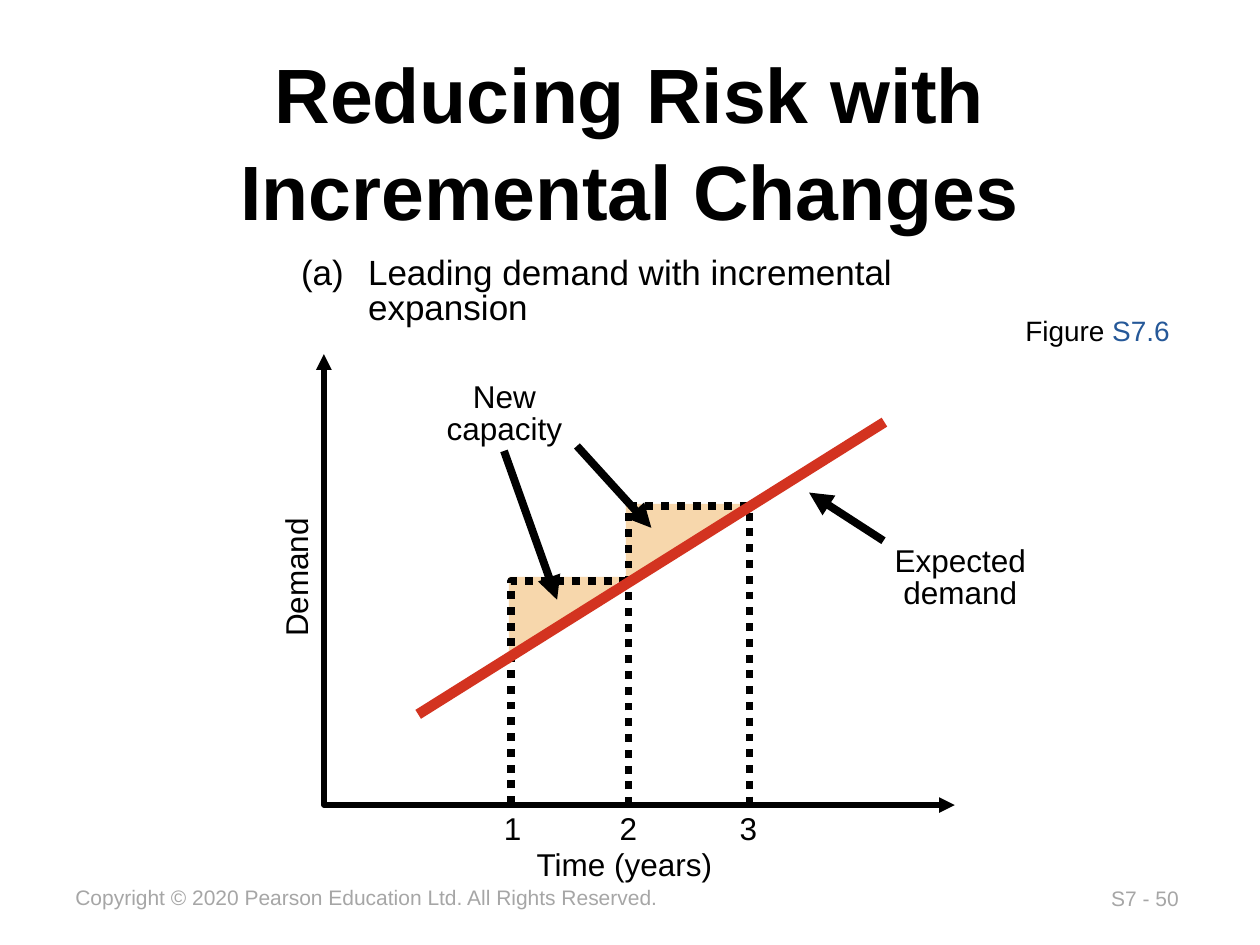
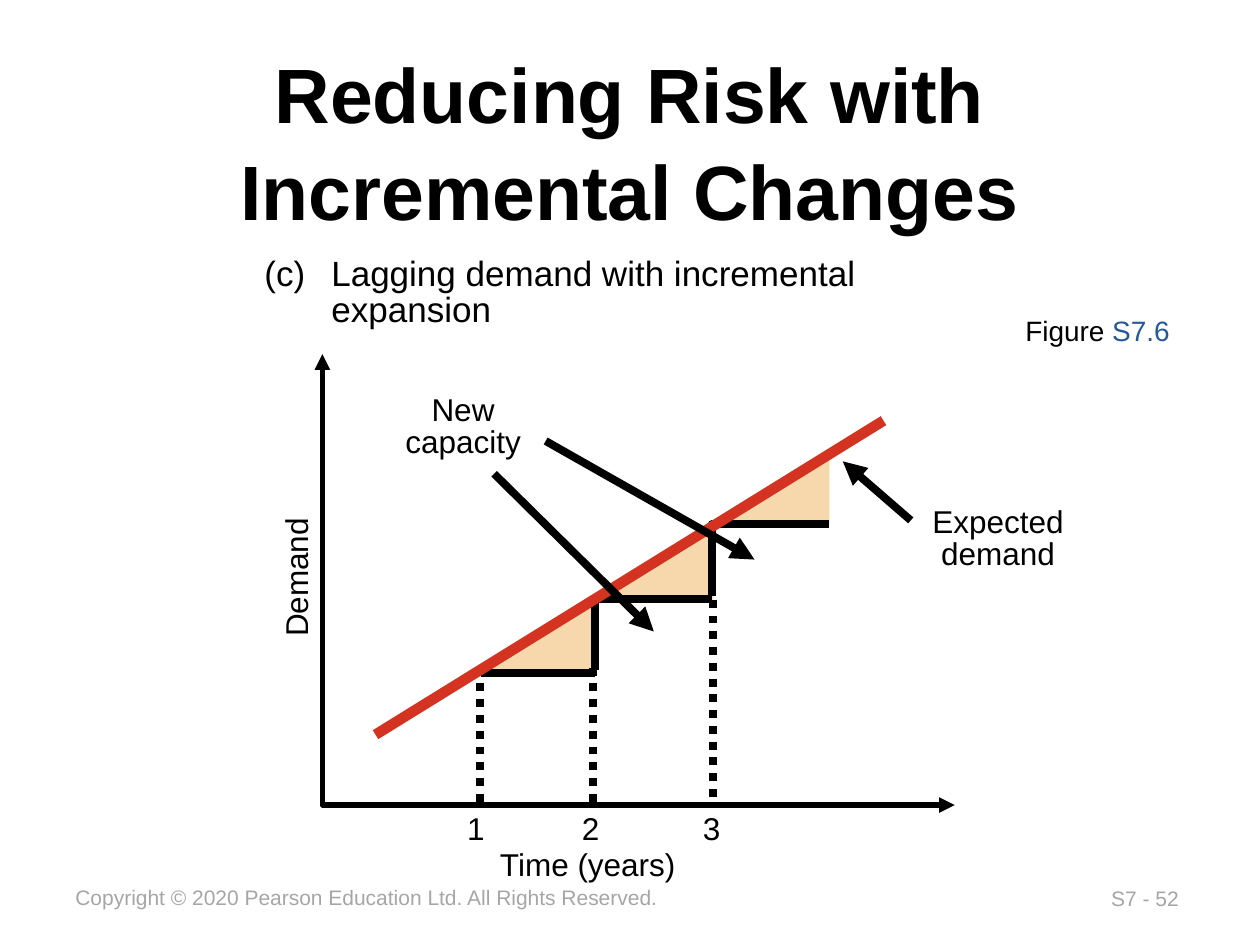
from collections import namedtuple
from dataclasses import dataclass

from lxml.etree import SubElement
from pptx import Presentation
from pptx.dml.color import RGBColor
from pptx.enum.dml import MSO_LINE as Dash
from pptx.enum.shapes import MSO_CONNECTOR as Link
from pptx.enum.text import MSO_ANCHOR as Anchor, MSO_AUTO_SIZE as Fit, PP_ALIGN as Align
from pptx.oxml.ns import qn
from pptx.util import Cm, Pt


@dataclass(frozen=True)
class Theme:
    font: str = "Arial"
    ink: str = "000000"
    muted: str = "A6A6A6"
    reference: str = "255898"
    demand: str = "D33320"
    capacity: str = "F7D7AC"
    title_size: int = 44
    caption_size: int = 20
    label_size: int = 18
    figure_size: int = 16
    footer_size: int = 12
    axis_width: float = 3
    step_width: float = 4.5
    demand_width: float = 6
    tight: float = 0.85


THEME = Theme()
TITLE = "Reducing Risk with Incremental Changes"
COPYRIGHT = "Copyright © 2020 Pearson Education Ltd. All Rights Reserved."
AXIS_TOP, AXIS_BASE, AXIS_END = 7.14, 16.23, 19.25

# Boxes are (left, top, width, height); points are (x, y); all in centimetres.
Callout = namedtuple("Callout", "text box arrows")
Scenario = namedtuple(
    "Scenario",
    "page caption caption_box axis_x year_lefts time_left "
    "surpluses dotted solid demand callouts",
)


def lagging_surplus(x, y):
    """Capacity triangle whose lower left corner is (x, y)."""
    return [(x, y), (x + 2.24, y - 1.42), (x + 2.24, y)]


LEADING = Scenario(
    page="S7 - 50",
    caption="(a)\tLeading demand with incremental expansion",
    caption_box=(5.82, 5.05, 13.79, 1.73),
    axis_x=6.53,
    year_lefts=(9.91, 12.24, 14.66),
    time_left=10.57,
    surpluses=[
        [(12.62, 11.89), (12.62, 10.16), (15.11, 10.16)],
        [(10.26, 13.39), (10.26, 11.63), (12.6, 11.63)],
    ],
    dotted=[
        [(10.31, 16.21), (10.31, 11.71), (12.62, 11.71)],
        [(12.67, 16.23), (12.67, 10.21), (15.11, 10.21), (15.11, 16.21)],
    ],
    solid=[],
    demand=((8.43, 14.4), (17.83, 8.51)),
    callouts=[
        Callout("Expected demand", (17.48, 10.9, 3.76, 1.57),
                [((17.81, 10.9), (16.31, 9.93))]),
        Callout("New capacity", (8.48, 7.59, 3.38, 1.57),
                [((10.16, 9.09), (11.23, 12.09)), ((11.63, 8.99), (13.13, 10.64))]),
    ],
)

LAGGING = Scenario(
    page="S7 - 52",
    caption="(c)\tLagging demand with incremental expansion",
    caption_box=(5.08, 5.08, 15.24, 1.73),
    axis_x=6.5,
    year_lefts=(9.17, 11.48, 13.92),
    time_left=9.83,
    surpluses=[lagging_surplus(12.14, 12.09), lagging_surplus(9.78, 13.51),
               lagging_surplus(14.48, 10.57)],
    dotted=[
        [(9.68, 13.46), (9.68, 16.23)],
        [(11.96, 13.46), (11.96, 16.21)],
        [(14.38, 12.09), (14.38, 16.15)],
    ],
    solid=[
        [(11.99, 13.51), (11.99, 12.07), (14.35, 12.07)],
        [(14.35, 12.01), (14.35, 10.57), (16.71, 10.57)],
        [(9.7, 13.56), (11.99, 13.56)],
    ],
    demand=((7.57, 14.81), (17.81, 8.48)),
    callouts=[
        Callout("Expected demand", (18.19, 10.11, 3.86, 1.57),
                [((18.36, 10.49), (16.99, 9.3))]),
        Callout("New capacity", (7.47, 7.85, 3.73, 1.57),
                [((11, 8.89), (15.21, 11.28)), ((9.96, 9.55), (13.18, 12.73))]),
    ],
)


def add_run(paragraph, text, size, color=THEME.ink, bold=False):
    run = paragraph.add_run()
    run.text = text
    run.font.name = THEME.font
    run.font.size = Pt(size)
    run.font.bold = bold
    run.font.color.rgb = RGBColor.from_string(color)


def add_label(slide, box, text, size=THEME.label_size, color=THEME.ink,
              wrap=False, align=Align.LEFT, rotation=0):
    """Add a text box and return its paragraph; wrapped text is set tight."""
    label = slide.shapes.add_textbox(*map(Cm, box))
    label.rotation = rotation
    frame = label.text_frame
    frame.word_wrap = wrap
    frame.auto_size = Fit.SHAPE_TO_FIT_TEXT
    paragraph = frame.paragraphs[0]
    paragraph.alignment = align
    if wrap:
        paragraph.line_spacing = THEME.tight
    add_run(paragraph, text, size, color)
    return paragraph


def style_line(line, color, width, dash=None, ends=()):
    """Format a line; ends names its arrowheads, headEnd before tailEnd."""
    line.color.rgb = RGBColor.from_string(color)
    line.width = Pt(width)
    if dash:
        line.dash_style = dash
    for end in ends:
        SubElement(line._get_or_add_ln(), qn(f"a:{end}"), type="triangle")


def add_outline(slide, points, closed=False):
    start, *rest = [(Cm(x), Cm(y)) for x, y in points]
    builder = slide.shapes.build_freeform(*start, scale=1.0)
    builder.add_line_segments(rest, close=closed)
    outline = builder.convert_to_shape()
    outline.shadow.inherit = False
    return outline


def add_surplus(slide, corners):
    surplus = add_outline(slide, corners, closed=True)
    surplus.fill.solid()
    surplus.fill.fore_color.rgb = RGBColor.from_string(THEME.capacity)
    surplus.line.fill.background()


def add_straight(slide, start, end, color, width, dash=None, ends=()):
    link = slide.shapes.add_connector(Link.STRAIGHT, *map(Cm, (*start, *end)))
    SubElement(link._element.spPr, qn("a:effectLst"))
    style_line(link.line, color, width, dash, ends)


def add_path(slide, points, width, dash=None, ends=()):
    """Draw an open black path: a connector for two points, else a freeform."""
    if len(points) == 2:
        add_straight(slide, *points, THEME.ink, width, dash, ends)
        return
    path = add_outline(slide, points)
    path.fill.background()
    style_line(path.line, THEME.ink, width, dash, ends)


def add_title(slide):
    title = slide.shapes.title
    title.left, title.top, title.width, title.height = map(Cm, (1.9, 0.71, 21.6, 4.19))
    title.text_frame.vertical_anchor = Anchor.MIDDLE
    paragraph = title.text_frame.paragraphs[0]
    paragraph.alignment = Align.CENTER
    paragraph.line_spacing = 1.05
    add_run(paragraph, TITLE, THEME.title_size, bold=True)


def add_footer(slide, page):
    for text, box in ((page, (22.15, 17.73, 1.93, 0.76)),
                      (COPYRIGHT, (1.27, 17.7, 12.34, 0.76))):
        add_label(slide, box, text, THEME.footer_size, THEME.muted)


def add_caption(slide, text, box):
    caption = add_label(slide, box, text, THEME.caption_size, wrap=True)
    properties = caption._p.get_or_add_pPr()
    properties.set("marL", str(Cm(1.35)))
    properties.set("indent", str(-Cm(1.35)))


def add_figure_reference(slide):
    figure = add_label(slide, (20.42, 6.2, 3.56, 0.94), "Figure ", THEME.figure_size)
    add_run(figure, "S7.6", THEME.figure_size, THEME.reference)


def add_axes(slide, scenario):
    corner_x = scenario.axis_x
    add_path(slide, [(corner_x, AXIS_TOP), (corner_x, AXIS_BASE), (AXIS_END, AXIS_BASE)],
             THEME.axis_width, ends=("headEnd", "tailEnd"))
    add_label(slide, (4.45, 11.07, 3.02, 1.02), "Demand", rotation=270)
    add_label(slide, (scenario.time_left, 16.92, 4.09, 1.02), "Time (years)")
    for year, left in enumerate(scenario.year_lefts, start=1):
        add_label(slide, (left, 16.18, 0.86, 1.02), str(year))


def add_callout(slide, callout):
    add_label(slide, callout.box, callout.text, wrap=True, align=Align.CENTER)
    for start, tip in callout.arrows:
        add_straight(slide, start, tip, THEME.ink, THEME.step_width, ends=("tailEnd",))


def add_scenario_slide(deck, scenario):
    slide = deck.slides.add_slide(deck.slide_layouts[5])
    add_title(slide)
    add_footer(slide, scenario.page)
    add_caption(slide, scenario.caption, scenario.caption_box)
    add_figure_reference(slide)
    for corners in scenario.surpluses:
        add_surplus(slide, corners)
    for points in scenario.solid:
        add_path(slide, points, THEME.step_width)
    for points in scenario.dotted:
        add_path(slide, points, THEME.step_width, Dash.ROUND_DOT)
    add_straight(slide, *scenario.demand, THEME.demand, THEME.demand_width)
    add_axes(slide, scenario)
    for callout in scenario.callouts:
        add_callout(slide, callout)


def main():
    deck = Presentation()
    deck.slide_width, deck.slide_height = Cm(25.4), Cm(19.05)
    for scenario in (LEADING, LAGGING):
        add_scenario_slide(deck, scenario)
    deck.save("out.pptx")


if __name__ == "__main__":
    main()
